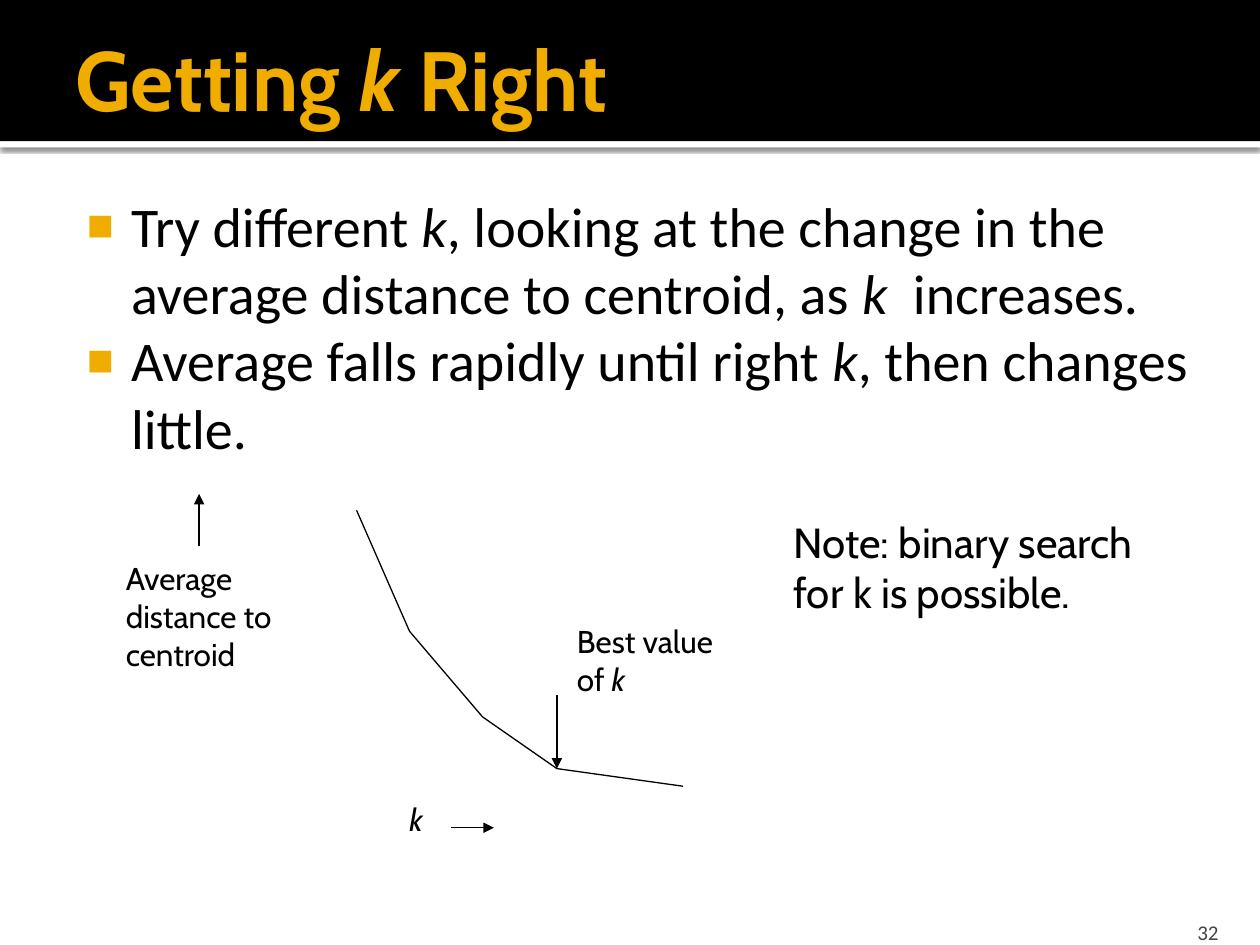
from dataclasses import dataclass
from itertools import pairwise

from lxml.etree import SubElement
from pptx import Presentation
from pptx.dml.color import RGBColor
from pptx.enum.shapes import MSO_CONNECTOR, MSO_SHAPE
from pptx.enum.text import MSO_ANCHOR, MSO_AUTO_SIZE, PP_ALIGN
from pptx.oxml import parse_xml
from pptx.oxml.ns import nsdecls, qn
from pptx.util import Inches, Pt

WIDTH, HEIGHT = 10, 7.5
BLACK, WHITE, GOLD, GRAY = "000000", "FFFFFF", "F0AD00", "454545"
CURVE = [(2.83, 4.05), (3.25, 5.01), (3.83, 5.69), (4.42, 6.1), (5.42, 6.24)]
BEST_POINT = CURVE[3]
ARROWS = [
    ((1.58, 4.33), (1.58, 3.92)),
    ((3.58, 6.57), (3.92, 6.57)),
    ((BEST_POINT[0], 5.52), BEST_POINT),
]
BULLETS = [
    "Try different *k*, looking at the change in the average distance to centroid, as *k*  increases.",
    "Average falls rapidly until right *k*, then changes little.",
]


@dataclass
class Style:
    size: float
    font: str = "Cabin"
    color: str = BLACK
    bold: bool = False
    align: PP_ALIGN = PP_ALIGN.LEFT
    anchor: MSO_ANCHOR = MSO_ANCHOR.TOP
    insets: tuple = (0.1, 0.05, 0.1, 0.05)


@dataclass
class Label:
    box: tuple
    lines: list
    style: Style


LABELS = [
    Label((3.15, 6.3, 0.37, 0.82), ["*k*"], Style(18)),
    Label((0.9, 4.39, 1.81, 2.13), ["Average", "distance to", "centroid"], Style(18)),
    Label((4.48, 4.89, 1.72, 0.9), ["Best value", "of *k*"], Style(18)),
    Label((6.2, 4.05, 3, 0.91), ["Note: binary search", "for k is possible."], Style(24)),
    Label((8.97, 7.2, 0.8, 0.3), ["32"],
          Style(12, "Calibri", GRAY, align=PP_ALIGN.RIGHT, anchor=MSO_ANCHOR.BOTTOM,
                insets=(0.1, 0.05, 0.1, 0))),
]


def rgb(color: str) -> RGBColor:
    return RGBColor.from_string(color)


def place(shape, box: tuple) -> None:
    for side, length in zip(("left", "top", "width", "height"), box):
        setattr(shape, side, Inches(length))


def add_bullet(paragraph) -> None:
    properties = paragraph._p.get_or_add_pPr()
    properties.set("marL", str(Inches(0.48)))
    properties.set("indent", str(Inches(-0.35)))
    color = SubElement(properties, qn("a:buClr"))
    SubElement(color, qn("a:srgbClr"), val=GOLD)
    SubElement(properties, qn("a:buSzPct"), val="80000")
    SubElement(properties, qn("a:buFont"), typeface="Arial")
    SubElement(properties, qn("a:buChar"), char="■")


def write(shape, lines: list, style: Style, bulleted: bool = False) -> None:
    frame = shape.text_frame
    left, top, right, bottom = map(Inches, style.insets)
    settings = {
        "word_wrap": True, "auto_size": MSO_AUTO_SIZE.NONE, "vertical_anchor": style.anchor,
        "margin_left": left, "margin_top": top, "margin_right": right, "margin_bottom": bottom,
    }
    for name, value in settings.items():
        setattr(frame, name, value)
    for index, line in enumerate(lines):
        paragraph = frame.add_paragraph() if index else frame.paragraphs[0]
        paragraph.alignment = style.align
        paragraph.space_before = Pt(0)
        if bulleted:
            add_bullet(paragraph)
        for part, words in enumerate(line.split("*")):
            if not words:
                continue
            run = paragraph.add_run()
            run.text = words
            font = {"name": style.font, "size": Pt(style.size),
                    "bold": style.bold, "italic": part % 2 == 1}
            for name, value in font.items():
                setattr(run.font, name, value)
            run.font.color.rgb = rgb(style.color)


def add_band(slide, top: float, height: float, color: str):
    band = slide.shapes.add_shape(MSO_SHAPE.RECTANGLE, 0, Inches(top), Inches(WIDTH), Inches(height))
    band.shadow.inherit = False
    band.fill.solid()
    band.fill.fore_color.rgb = rgb(color)
    band.line.fill.background()
    return band


def add_header(slide) -> None:
    strip = add_band(slide, 1.12, 0.05, WHITE)
    effects = strip._element.spPr.find(qn("a:effectLst"))
    effects.append(parse_xml(
        f'<a:outerShdw {nsdecls("a")} blurRad="{Pt(2.5)}" dist="{Pt(0.8)}" dir="5400000">'
        f'<a:srgbClr val="{BLACK}"><a:alpha val="60000"/></a:srgbClr></a:outerShdw>'))
    banner = add_band(slide, 0, 1.12, BLACK)
    tree = strip._element.getparent()
    for band in (banner, strip):
        tree.insert(2, band._element)


def add_line(slide, start: tuple, end: tuple, arrow: bool = False) -> None:
    ends = map(Inches, (*start, *end))
    line = slide.shapes.add_connector(MSO_CONNECTOR.STRAIGHT, *ends)
    line.line.color.rgb = rgb(BLACK)
    line.line.width = Pt(0.75)
    if arrow:
        SubElement(line.line._get_or_add_ln(), qn("a:tailEnd"), type="triangle")
    SubElement(line._element.spPr, qn("a:effectLst"))


def main() -> None:
    """Build the slide about choosing k and save it."""
    deck = Presentation()
    deck.slide_width, deck.slide_height = Inches(WIDTH), Inches(HEIGHT)
    slide = deck.slides.add_slide(deck.slide_layouts[1])
    add_header(slide)
    title, body = slide.placeholders
    place(title, (0.5, 0.08, 9.5, 1.08))
    write(title, ["Getting *k* Right"],
          Style(48, color=GOLD, bold=True, anchor=MSO_ANCHOR.MIDDLE, insets=(0.1, 0.05, 0.05, 0.05)))
    place(body, (0.5, 1.42, 9.33, 5.75))
    write(body, BULLETS, Style(32, "Calibri", insets=(0.06, 0.1, 0.1, 0.05)), bulleted=True)
    for start, end in pairwise(CURVE):
        add_line(slide, start, end)
    for start, end in ARROWS:
        add_line(slide, start, end, arrow=True)
    for label in LABELS:
        write(slide.shapes.add_textbox(*map(Inches, label.box)), label.lines, label.style)
    deck.save("out.pptx")


if __name__ == "__main__":
    main()
